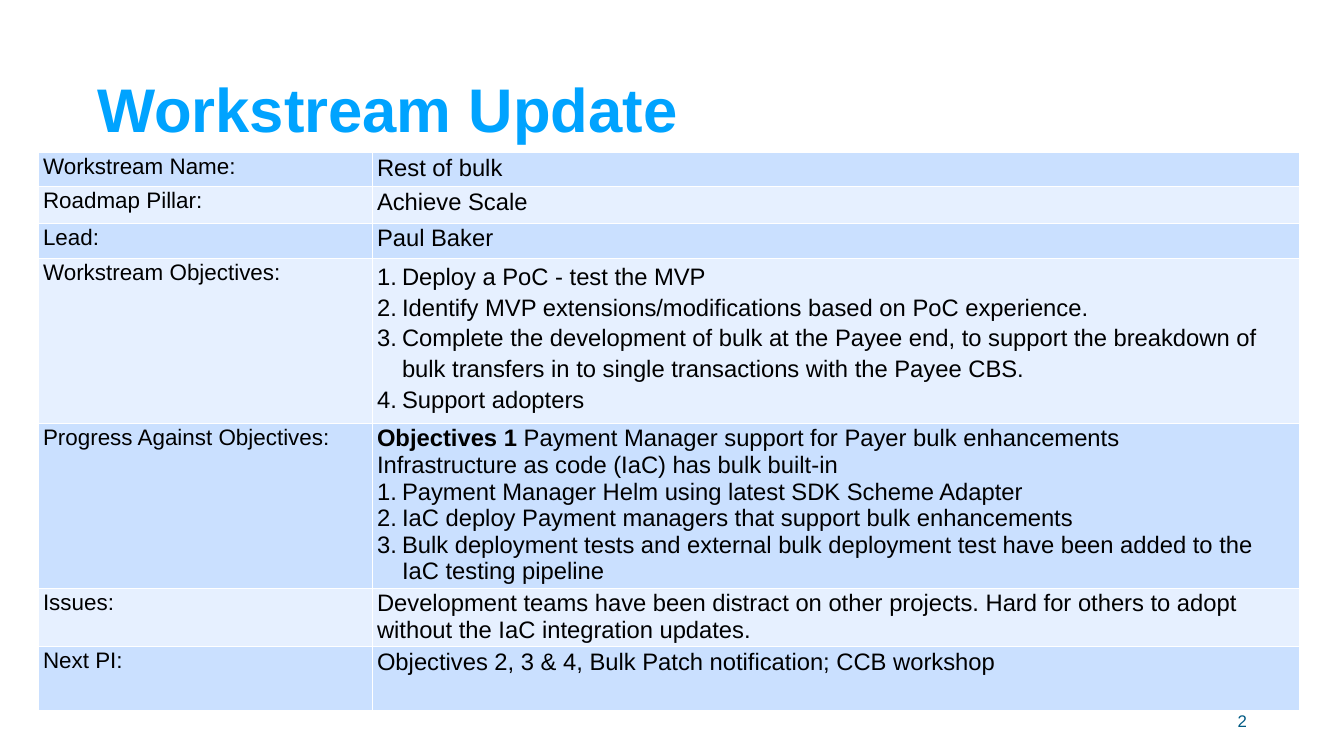
from lxml import etree
from pptx import Presentation
from pptx.dml.color import RGBColor
from pptx.enum.text import MSO_ANCHOR, MSO_AUTO_SIZE, PP_ALIGN
from pptx.oxml.ns import qn
from pptx.util import Emu, Inches, Pt

MIDDLE = MSO_ANCHOR.MIDDLE
NO_AUTOFIT = MSO_AUTO_SIZE.NONE
LEFT, RIGHT = PP_ALIGN.LEFT, PP_ALIGN.RIGHT

FONT = "Arial"
TITLE_BLUE = RGBColor(0x00, 0xA3, 0xFF)
NUMBER_BLUE = RGBColor(0x00, 0x5A, 0x83)
BLACK = RGBColor(0x00, 0x00, 0x00)
WHITE = RGBColor(0xFF, 0xFF, 0xFF)
BANDS = (RGBColor(0xCA, 0xE0, 0xFF), RGBColor(0xE6, 0xF0, 0xFF))
LABEL_SIZE, BODY_SIZE = 32, 34

# Content: label, row height in px, plain paragraphs, numbered items, line spacing.
# A plain paragraph is a list of (text, bold) runs.
TITLE = "Workstream Update"
SLIDE_NUMBER = "2"
ROWS = [
    ("Workstream Name:", 34, [[("Rest of bulk", False)]], [], 1.0),
    ("Roadmap Pillar:", 37, [[("Achieve Scale", False)]], [], 1.0),
    ("Lead:", 35, [[("Paul Baker", False)]], [], 1.0),
    ("Workstream Objectives:", 165, [], [
        "Deploy a PoC - test the MVP",
        "Identify MVP extensions/modifications based on PoC experience.",
        "Complete the development of bulk at the Payee end, to support the breakdown of "
        "bulk transfers in to single transactions with the Payee CBS.",
        "Support adopters",
    ], 1.15),
    ("Progress Against Objectives:", 165, [
        [("Objectives 1 ", True),
         ("Payment Manager support for Payer bulk enhancements", False)],
        [("Infrastructure as code (IaC) has bulk built-in", False)],
    ], [
        "Payment Manager Helm using latest SDK Scheme Adapter",
        "IaC deploy Payment managers that support bulk enhancements",
        "Bulk deployment tests and external bulk deployment test have been added to the "
        "IaC testing pipeline",
    ], 1.0),
    ("Issues:", 58, [[(
        "Development teams have been distract on other projects. Hard for others to adopt "
        "without the IaC integration updates.", False)]], [], 1.0),
    ("Next PI:", 64, [[(
        "Objectives 2, 3 & 4, Bulk Patch notification; CCB workshop", False)]], [], 1.0),
]
COLUMN_WIDTHS = (334, 927)
LIST_INDENT = 25


def px(length):
    return Emu(round(length * 914400 / 50.4))


def add_run(paragraph, text, size, color=BLACK, bold=False):
    run = paragraph.add_run()
    run.text = text
    run.font.name = FONT
    run.font.size = Pt(size)
    run.font.bold = bold
    run.font.color.rgb = color


def set_numbering(paragraph):
    properties = paragraph._p.get_or_add_pPr()
    properties.set("marL", str(px(LIST_INDENT)))
    properties.set("indent", str(-px(LIST_INDENT)))
    bullet_color = etree.SubElement(properties, qn("a:buClr"))
    etree.SubElement(bullet_color, qn("a:srgbClr"), val=str(BLACK))
    etree.SubElement(properties, qn("a:buFont"), typeface=FONT)
    etree.SubElement(properties, qn("a:buAutoNum"), type="arabicPeriod")


def style_cell(cell, color):
    properties = cell._tc.get_or_add_tcPr()
    for side in ("a:lnL", "a:lnR", "a:lnT", "a:lnB"):
        line = etree.SubElement(properties, qn(side), w=str(Pt(1)))
        fill = etree.SubElement(line, qn("a:solidFill"))
        etree.SubElement(fill, qn("a:srgbClr"), val=str(WHITE))
    cell.fill.solid()
    cell.fill.fore_color.rgb = color
    cell.margin_left = cell.margin_right = Inches(0.1)
    cell.margin_top = cell.margin_bottom = Inches(0.05)


def fill_cell(cell, plain, numbered, size, spacing=1.0):
    paragraphs = [(runs, False) for runs in plain]
    paragraphs += [([(text, False)], True) for text in numbered]
    frame = cell.text_frame
    for index, (runs, is_numbered) in enumerate(paragraphs):
        paragraph = frame.add_paragraph() if index else frame.paragraphs[0]
        if is_numbered:
            set_numbering(paragraph)
        paragraph.line_spacing = spacing
        for text, bold in runs:
            add_run(paragraph, text, size, bold=bold)


def add_title(slide):
    title = slide.shapes.title
    title.left, title.top, title.width, title.height = map(px, (92, 40, 1040, 146))
    frame = title.text_frame
    frame.auto_size = NO_AUTOFIT
    frame.vertical_anchor = MIDDLE
    paragraph = frame.paragraphs[0]
    paragraph.alignment = LEFT
    paragraph.line_spacing = 0.9
    add_run(paragraph, TITLE, 88, TITLE_BLUE, bold=True)


def add_status_table(slide):
    height = sum(row[1] for row in ROWS)
    frame = slide.shapes.add_table(len(ROWS), len(COLUMN_WIDTHS), px(38), px(152),
                                   px(sum(COLUMN_WIDTHS)), px(height))
    table = frame.table
    table.first_row = False
    table.horz_banding = False
    for column, width in zip(table.columns, COLUMN_WIDTHS):
        column.width = px(width)
    for index, (label, row_height, plain, numbered, spacing) in enumerate(ROWS):
        table.rows[index].height = px(row_height)
        label_cell, body_cell = table.cell(index, 0), table.cell(index, 1)
        for cell in (label_cell, body_cell):
            style_cell(cell, BANDS[index % 2])
        fill_cell(label_cell, [[(label, False)]], [], LABEL_SIZE)
        fill_cell(body_cell, plain, numbered, BODY_SIZE, spacing)


def add_slide_number(slide):
    box = slide.shapes.add_textbox(*map(px, (950, 701, 302, 40)))
    frame = box.text_frame
    frame.word_wrap = True
    frame.vertical_anchor = MIDDLE
    paragraph = frame.paragraphs[0]
    paragraph.alignment = RIGHT
    add_run(paragraph, SLIDE_NUMBER, 24, NUMBER_BLUE)


def main():
    presentation = Presentation()
    presentation.slide_width, presentation.slide_height = px(1344), px(756)
    slide = presentation.slides.add_slide(presentation.slide_layouts[5])
    add_title(slide)
    add_status_table(slide)
    add_slide_number(slide)
    presentation.save("out.pptx")


if __name__ == "__main__":
    main()
